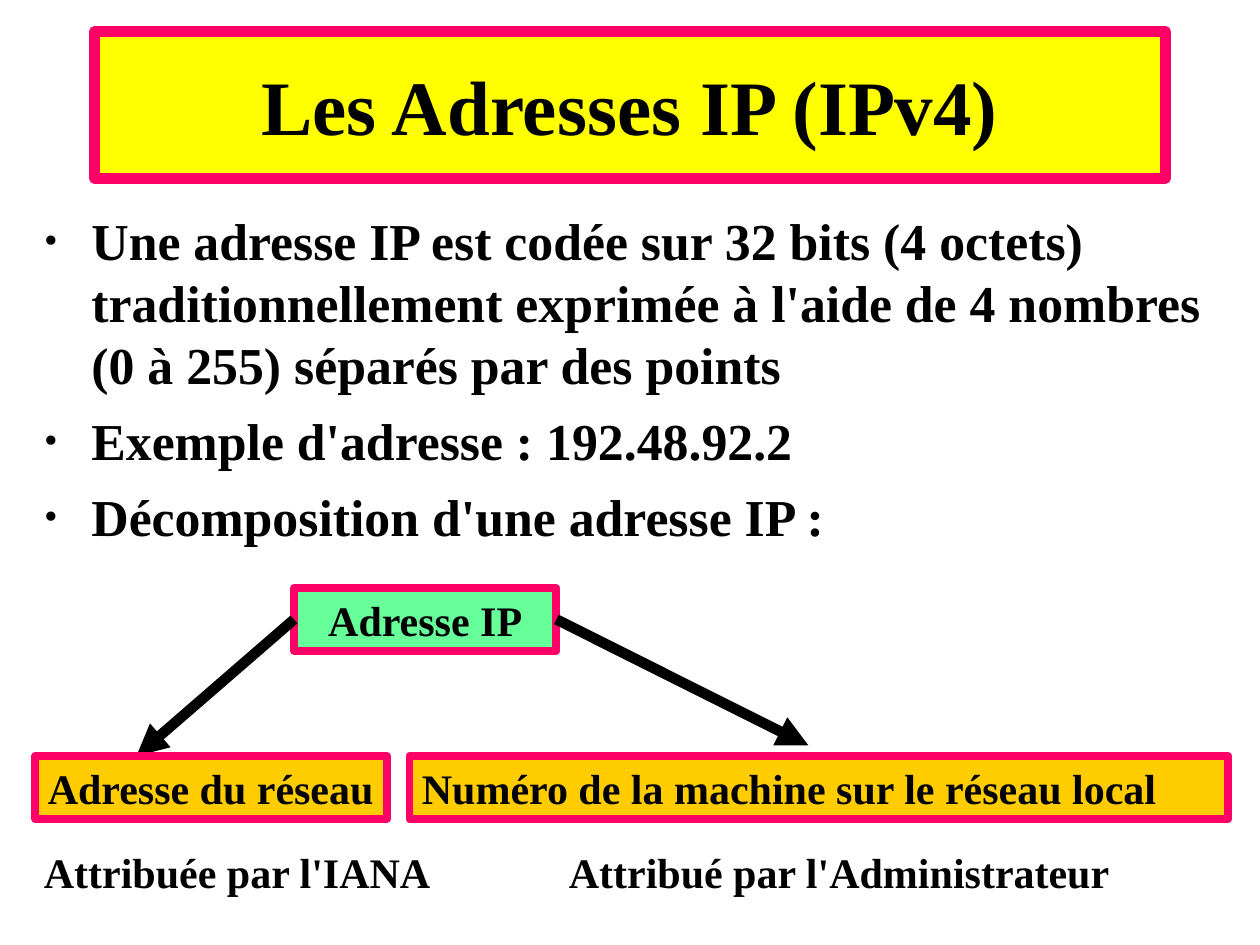
import pptx
import pptx.dml.color
import pptx.enum.shapes
import pptx.enum.text
import pptx.oxml
import pptx.oxml.ns
import pptx.util
from dataclasses import dataclass

Pt = pptx.util.Pt
ALIGN = pptx.enum.text.PP_ALIGN
ANCHOR = pptx.enum.text.MSO_ANCHOR


@dataclass(frozen=True)
class Theme:
    font: str = "Times New Roman"
    ink: str = "010000"
    black: str = "000000"
    border: str = "FF0066"
    title_fill: str = "FFFF00"
    root_fill: str = "66FF99"
    part_fill: str = "FFCC00"
    title_size: float = 44
    body_size: float = 29.6
    label_size: float = 24
    body_line: float = 35.4
    body_gap: float = 8
    thick: float = 6
    thin: float = 4.5


THEME = Theme()


def rgb(value):
    return pptx.dml.color.RGBColor.from_string(value)


def place(shape, left, top, width, height):
    shape.left, shape.top = Pt(left), Pt(top)
    shape.width, shape.height = Pt(width), Pt(height)


def paint(shape, fill, line_width):
    shape.fill.solid()
    shape.fill.fore_color.rgb = rgb(fill)
    shape.line.color.rgb = rgb(THEME.border)
    shape.line.width = Pt(line_width)


def write(shape, lines, size, color, align=ALIGN.LEFT, anchor=ANCHOR.TOP, wrap=True):
    frame = shape.text_frame
    frame.text = "\n".join(lines)
    frame.word_wrap = wrap
    frame.auto_size = pptx.enum.text.MSO_AUTO_SIZE.NONE
    frame.vertical_anchor = anchor
    for paragraph in frame.paragraphs:
        paragraph.alignment = align
        paragraph.space_before = Pt(0)
        for run in paragraph.runs:
            run.font.name = THEME.font
            run.font.size = Pt(size)
            run.font.bold = True
            run.font.color.rgb = rgb(color)


def add_bullet(paragraph, indent):
    properties = paragraph._p.get_or_add_pPr()
    properties.set("marL", str(Pt(indent)))
    properties.set("indent", str(-Pt(indent)))
    namespace = pptx.oxml.ns.nsdecls("a")
    for element in (
        f'<a:buClr {namespace}><a:srgbClr val="{THEME.black}"/></a:buClr>',
        f'<a:buSzPct {namespace} val="75000"/>',
        f'<a:buFont {namespace} typeface="{THEME.font}"/>',
        f'<a:buChar {namespace} char="•"/>',
    ):
        properties.append(pptx.oxml.parse_xml(element))


def fill_title(slide, text):
    title = slide.shapes.title
    place(title, 54, 18, 612, 84)
    paint(title, THEME.title_fill, THEME.thick)
    write(title, [text], THEME.title_size, THEME.ink, ALIGN.CENTER, ANCHOR.MIDDLE)


def fill_body(slide, lines):
    body = slide.placeholders[1]
    place(body, 18, 116, 684, 208)
    write(body, lines, THEME.body_size, THEME.ink)
    for index, paragraph in enumerate(body.text_frame.paragraphs):
        add_bullet(paragraph, 27)
        paragraph.line_spacing = Pt(THEME.body_line)
        paragraph.space_before = Pt(THEME.body_gap if index else 0)


def add_box(slide, text, left, top, width, fill, color, align=ALIGN.LEFT, wrap=True):
    box = slide.shapes.add_shape(
        pptx.enum.shapes.MSO_SHAPE.RECTANGLE, Pt(left), Pt(top), Pt(width), Pt(36))
    box.shadow.inherit = False
    paint(box, fill, THEME.thin)
    write(box, [text], THEME.label_size, color, align, wrap=wrap)


def add_caption(slide, text, left, width):
    caption = slide.shapes.add_textbox(Pt(left), Pt(480), Pt(width), Pt(36))
    write(caption, [text], THEME.label_size, THEME.black, wrap=False)


def add_arrow(slide, start, end):
    arrow = slide.shapes.add_connector(
        pptx.enum.shapes.MSO_CONNECTOR.STRAIGHT,
        *(Pt(value) for value in (*start, *end)))
    arrow.line.color.rgb = rgb(THEME.black)
    arrow.line.width = Pt(THEME.thick)
    namespace = pptx.oxml.ns.nsdecls("a")
    arrow.line._get_or_add_ln().append(
        pptx.oxml.parse_xml(f'<a:tailEnd {namespace} type="triangle"/>'))
    arrow._element.spPr.append(pptx.oxml.parse_xml(f"<a:effectLst {namespace}/>"))


def main():
    presentation = pptx.Presentation()
    presentation.slide_width, presentation.slide_height = Pt(720), Pt(540)
    slide = presentation.slides.add_slide(presentation.slide_layouts[1])

    # Title and list
    fill_title(slide, "Les Adresses IP (IPv4)")
    fill_body(slide, [
        "Une adresse IP est codée sur 32 bits (4 octets) traditionnellement "
        "exprimée à l'aide de 4 nombres (0 à 255) séparés par des points",
        "Exemple d'adresse : 192.48.92.2",
        "Décomposition d'une adresse IP :",
    ])

    # Address split into its two parts
    add_box(slide, "Adresse IP", 168, 336, 150, THEME.root_fill, THEME.ink, ALIGN.CENTER)
    add_arrow(slide, (168, 354), (78, 432))
    add_arrow(slide, (318, 354), (462, 426))
    add_box(slide, "Adresse du réseau", 20.2, 432, 201, THEME.part_fill,
            THEME.black, wrap=False)
    add_box(slide, "Numéro de la machine sur le réseau local", 234, 432, 468,
            THEME.part_fill, THEME.black)

    # Who assigns each part
    add_caption(slide, "Attribuée par l'IANA", 18, 240)
    add_caption(slide, "Attribué par l'Administrateur", 318, 323.5)

    presentation.save("out.pptx")


if __name__ == "__main__":
    main()
